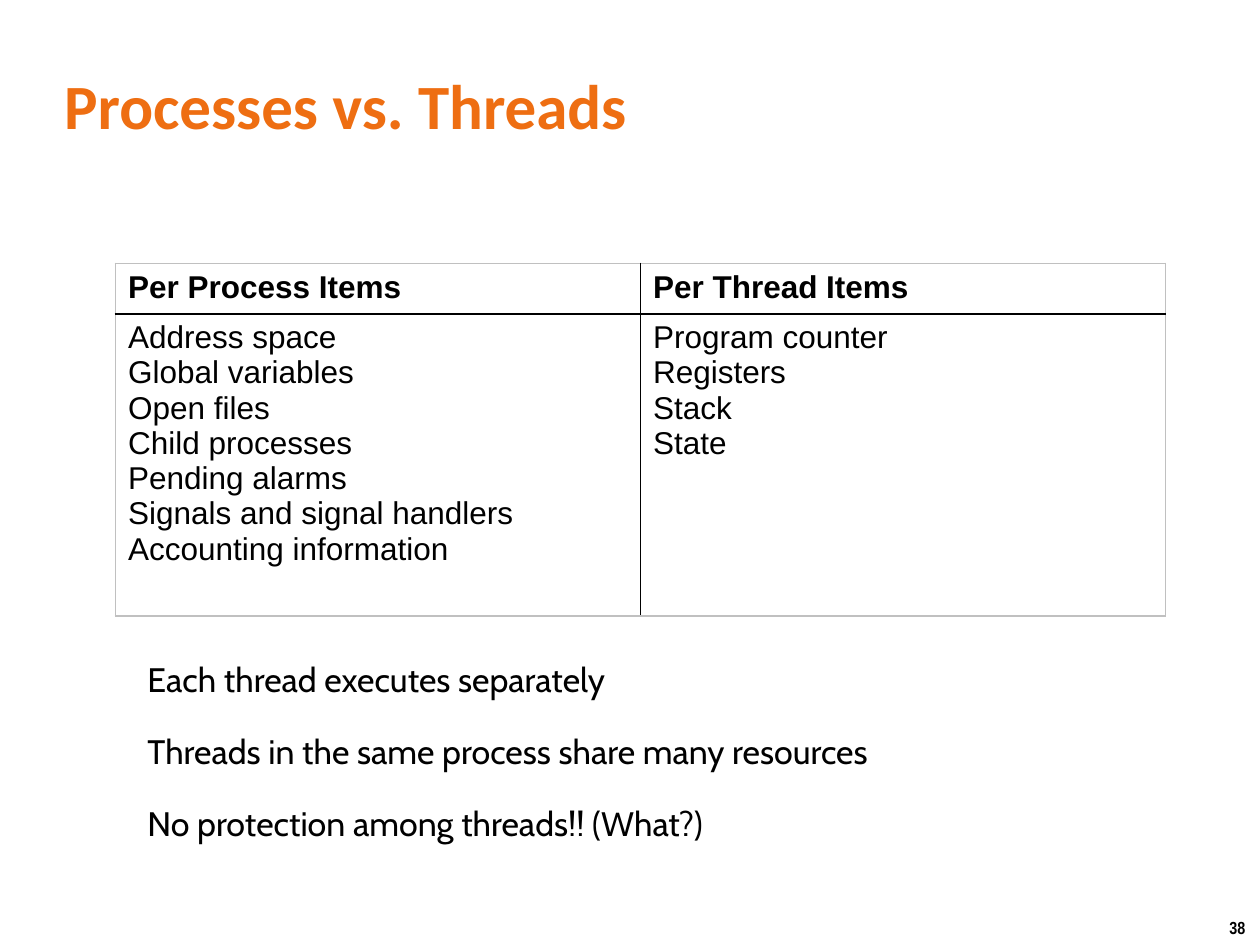
from lxml.etree import SubElement as Sub
from pptx import Presentation
from pptx.dml.color import RGBColor
from pptx.enum.text import MSO_ANCHOR as Anchor, MSO_AUTO_SIZE as Fit, PP_ALIGN as Align
from pptx.oxml.ns import qn
from pptx.util import Pt

TITLE = "Processes vs. Threads"
ITEMS = {
    "Per Process Items": [
        "Address space", "Global variables", "Open files", "Child processes",
        "Pending alarms", "Signals and signal handlers", "Accounting information",
    ],
    "Per Thread Items": ["Program counter", "Registers", "Stack", "State"],
}
NOTES = [
    "Each thread executes separately",
    "Threads in the same process share many resources",
    "No protection among threads!! (What?)",
]
PAGE = "38"

ORANGE = RGBColor(0xEE, 0x6E, 0x12)
BLACK = RGBColor(0, 0, 0)
GREY = RGBColor(0xC0, 0xC0, 0xC0)
WIDE, HIGH = 720, 540
COL, ROWS = 300, (28.8, 172.8)


def write(frame, lines, size, font, color=BLACK, bold=False, gap=0, left=0):
    for i, line in enumerate(lines):
        para = frame.paragraphs[0] if i == 0 else frame.add_paragraph()
        props = para._p.get_or_add_pPr()
        props.set("marL", str(Pt(left)))
        props.set("indent", "0")
        Sub(props, qn("a:buNone"))
        para.alignment = Align.LEFT
        para.space_before = Pt(gap if i else 0)
        run = para.add_run()
        run.text = line
        run.font.size, run.font.name, run.font.bold = Pt(size), font, bold
        run.font.color.rgb = color


def place(shape, left, top, width, height):
    shape.left, shape.top = Pt(left), Pt(top)
    shape.width, shape.height = Pt(width), Pt(height)


def rule(cell, side, color):
    line = Sub(cell._tc.get_or_add_tcPr(), qn("a:ln" + side), w=str(Pt(1)))
    fill = Sub(line, qn("a:solidFill"))
    Sub(fill, qn("a:srgbClr"), val=str(color))


deck = Presentation()
deck.slide_width, deck.slide_height = Pt(WIDE), Pt(HIGH)
slide = deck.slides.add_slide(deck.slide_layouts[1])

title, body = slide.placeholders
place(title, 29.5, 29.5, 660, 60)
title.text_frame.auto_size = Fit.NONE
title.text_frame.vertical_anchor = Anchor.MIDDLE
write(title.text_frame, [TITLE], 36, "Calibri", color=ORANGE, bold=True)

place(body, 75, 372.5, 603, 102)
body.text_frame.auto_size = Fit.NONE
write(body.text_frame, NOTES, 19.4, "Cabin", gap=18, left=2)

grid = slide.shapes.add_table(
    2, len(ITEMS), Pt(66), Pt(150.5), Pt(COL * len(ITEMS)), Pt(sum(ROWS))).table
grid.first_row = grid.horz_banding = False
for row, high in zip(grid.rows, ROWS):
    row.height = Pt(high)
for c, (head, items) in enumerate(ITEMS.items()):
    grid.columns[c].width = Pt(COL)
    for r, lines in enumerate(([head], items)):
        cell = grid.cell(r, c)
        write(cell.text_frame, lines, 18, "Arial", bold=r == 0)
        outer = {"L": c == 0, "R": c == len(ITEMS) - 1, "T": r == 0, "B": r == 1}
        for side, edge in outer.items():
            rule(cell, side, GREY if edge else BLACK)
        cell.fill.background()

number = slide.shapes.add_textbox(Pt(695.5), Pt(520.5), Pt(24.5), Pt(19.5))
number.text_frame.word_wrap = False
write(number.text_frame, [PAGE], 10, "Arial Narrow", bold=True)

deck.save("out.pptx")
